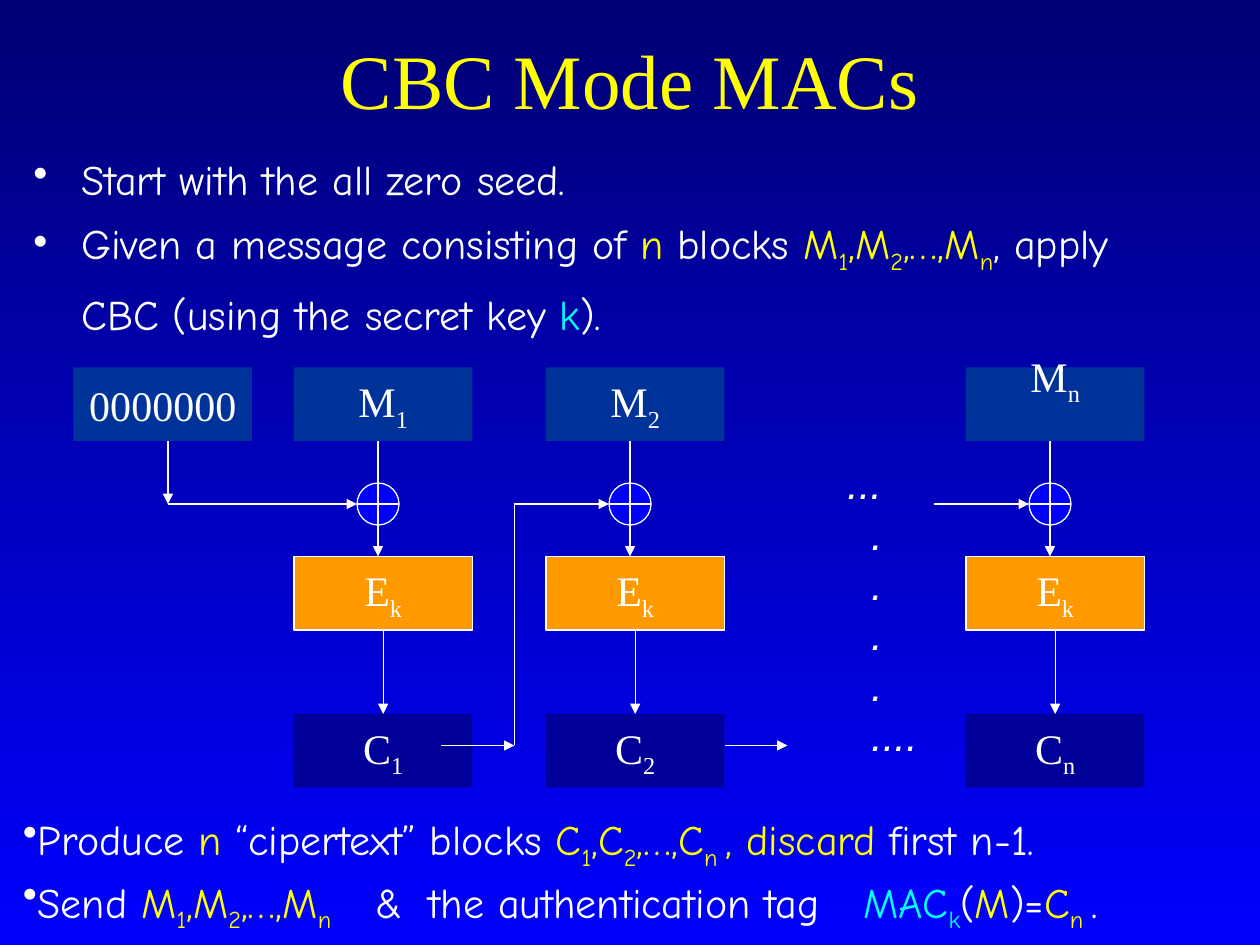
from lxml import etree
from pptx import Presentation
from pptx import util as u
from pptx.dml.color import RGBColor
from pptx.enum import shapes, text
from pptx.oxml.ns import qn

COLORS = {
    "top": "000075", "bottom": "0000FF", "white": "FFFFFF", "yellow": "FFFF00",
    "cyan": "00FFFF", "message": "003399", "encrypt": "FF9900", "cipher": "000099",
}
SERIF, HAND, SANS = "Times New Roman", "Comic Neue", "Arial"
COLS, ROWS = 120, 90  # grid over the 10 x 7.5 inch slide


def rgb(name):
    return RGBColor.from_string(COLORS[name])


def series(letter, last="n"):
    """Runs for letter1,letter2,…,letter-n with subscripts."""
    runs = []
    for lead, index in (("", "1"), (",", "2"), (",…,", last)):
        runs += [(lead + letter, "yellow"), (index, "yellow", True)]
    return runs


class Deck:
    """Style and current slide; all positions are grid columns and rows."""

    size = 24

    def __init__(self):
        self.prs = Presentation()
        self.prs.slide_width, self.prs.slide_height = u.Inches(10), u.Inches(7.5)
        self.s = self.prs.slides.add_slide(self.prs.slide_layouts[6])
        fill = self.s.background.fill
        fill.gradient()
        fill.gradient_angle = 270
        for stop, name in zip(fill.gradient_stops, ("top", "bottom")):
            stop.color.rgb = rgb(name)

    def x(self, col):
        return round(self.prs.slide_width * col / COLS)

    def y(self, row):
        return round(self.prs.slide_height * row / ROWS)

    def area(self, col, row, width, height):
        return self.x(col), self.y(row), self.x(width), self.y(height)

    def add_runs(self, p, runs, font, size=None):
        """Add runs given as (text, colour, subscript, size)."""
        for words, color, *rest in runs:
            r = p.add_run()
            r.text = words
            r.font.name, r.font.color.rgb = font, rgb(color)
            r.font.size = u.Pt(rest[1] if len(rest) > 1 else size or self.size)
            if rest and rest[0]:
                r.font._element.set("baseline", "-25000")

    def textbox(self, at, wrap=True, anchor=text.MSO_ANCHOR.TOP):
        tf = self.s.shapes.add_textbox(*self.area(*at)).text_frame
        tf.word_wrap, tf.vertical_anchor = wrap, anchor
        return tf

    def paragraphs(self, tf, count):
        return [tf.paragraphs[0]] + [tf.add_paragraph() for _ in range(count - 1)]

    def title(self, words, at):
        p = self.textbox(at, anchor=text.MSO_ANCHOR.MIDDLE).paragraphs[0]
        p.alignment = text.PP_ALIGN.CENTER
        self.add_runs(p, [(words, "yellow")], SERIF, 44)

    def bullets(self, at, items, gap, hang=0, spacing=None, tabs=()):
        tf = self.textbox(at)
        for i, (p, runs) in enumerate(zip(self.paragraphs(tf, len(items)), items)):
            pPr = p._p.get_or_add_pPr()
            pPr.set("marL", str(u.Inches(hang)))
            pPr.set("indent", str(-u.Inches(hang)))
            color = etree.SubElement(pPr, qn("a:buClr"))
            etree.SubElement(color, qn("a:srgbClr")).set("val", COLORS["white"])
            etree.SubElement(pPr, qn("a:buChar")).set("char", "•")
            if tabs:
                stops = etree.SubElement(pPr, qn("a:tabLst"))
                for pos in tabs:
                    etree.SubElement(stops, qn("a:tab"), pos=str(u.Inches(pos)), algn="l")
            if i:
                p.space_before = u.Pt(gap)
            if spacing:
                p.line_spacing = spacing
            self.add_runs(p, runs, HAND)

    def shape(self, kind, at, fill, outlined):
        sp = self.s.shapes.add_shape(kind, *self.area(*at))
        sp.shadow.inherit = False
        sp.fill.solid()
        sp.fill.fore_color.rgb = rgb(fill)
        if outlined:
            sp.line.color.rgb, sp.line.width = rgb("white"), u.Pt(0.75)
        else:
            sp.line.fill.background()
        return sp

    def block(self, col, row, fill, label, sub="", outlined=False, lift=0):
        """Labelled box; lift raises the label, in inches."""
        sp = self.shape(shapes.MSO_SHAPE.RECTANGLE, (col, row, 17, 7), fill, outlined)
        tf = sp.text_frame
        tf.word_wrap, tf.vertical_anchor = False, text.MSO_ANCHOR.MIDDLE
        tf.margin_bottom = u.Inches(0.05 + 2 * lift)
        p = tf.paragraphs[0]
        p.alignment = text.PP_ALIGN.CENTER
        runs = [(label, "white")] + ([(sub, "white", True)] if sub else [])
        self.add_runs(p, runs, SERIF)
        return sp

    def xor(self, col, row):
        self.shape(shapes.MSO_SHAPE.FLOWCHART_OR, (col - 2, row - 2, 4, 4), "bottom", True)

    def line(self, x1, y1, x2, y2, arrow=True):
        c = self.s.shapes.add_connector(
            shapes.MSO_CONNECTOR.STRAIGHT, self.x(x1), self.y(y1), self.x(x2), self.y(y2))
        c.line.color.rgb, c.line.width = rgb("white"), u.Pt(0.75)
        spPr = c._element.spPr
        if arrow:
            etree.SubElement(spPr.find(qn("a:ln")), qn("a:tailEnd")).set("type", "triangle")
        etree.SubElement(spPr, qn("a:effectLst"))
        return c

    def dots(self, at, rows):
        """Italic dot rows, given as (dots, indent in inches)."""
        tf = self.textbox(at, wrap=False)
        for p, (marks, indent) in zip(self.paragraphs(tf, len(rows)), rows):
            p._p.get_or_add_pPr().set("marL", str(u.Inches(indent)))
            p.line_spacing = u.Pt(28.8)
            self.add_runs(p, [(marks, "white")], SANS)
            p.runs[0].font.italic = True


def main():
    d = Deck()
    d.title("CBC Mode MACs", (9, 0, 102, 15))
    d.bullets((2, 14, 111, 73), [
        [("Start with the all zero seed.", "white")],
        [("Given a message consisting of ", "white"), ("n", "yellow"),
         (" blocks ", "white"), *series("M"),
         (", apply CBC (using the secret key ", "white"), ("k", "cyan"),
         (").", "white"), (" ", "white", False, 32)],
    ], gap=8, hang=0.38)

    message, gate, encrypt, cipher, height = 35, 48, 53, 68, 7
    feed = cipher + 3
    d.block(7, message, "message", "0000000")
    for center, index in ((36, "1"), (60, "2"), (100, "n")):
        left = center - 8
        d.block(left, message, "message", "M", index, lift=0.2 if index == "n" else 0)
        e = d.block(left, encrypt, "encrypt", "E", "k", outlined=True)
        c = d.block(left, cipher, "cipher", "C", index)
        d.xor(center, gate)
        d.line(center, message + height, center, gate - 2, arrow=False)
        d.line(center, gate + 2, center, encrypt)
        link = d.line(center, encrypt + height, center, cipher)
        link.begin_connect(e, 2)
        link.end_connect(c, 0)

    d.line(16, message + height, 16, gate)
    for start, end in ((16, 34), (49, 58), (89, 98)):
        d.line(start, gate, end, gate)
    d.line(49, gate, 49, feed, arrow=False)
    for start, end in ((42, 49), (69, 75)):
        d.line(start, feed, end, feed)
    d.dots((79.5, 43, 10, 30), [("...", 0)] + [(".", 0.19)] * 4 + [("....", 0.19)])

    d.bullets((1, 77, 114, 12), [
        [("Produce ", "white"), ("n ", "yellow"), ("“cipertext” blocks ", "white"),
         *series("C", "n "), (", discard ", "yellow"), ("first n-1.", "white")],
        [("Send ", "white"), *series("M"),
         ("\t&\tthe authentication tag\t", "white"), ("MAC", "cyan"), ("k", "cyan", True),
         ("(", "white"), ("M", "yellow"), (")=", "white"), ("C", "yellow"),
         ("n ", "yellow", True), (".", "white")],
    ], gap=6, spacing=0.9, tabs=(2.8, 3.22, 6.67))
    d.prs.save("out.pptx")


if __name__ == "__main__":
    main()
